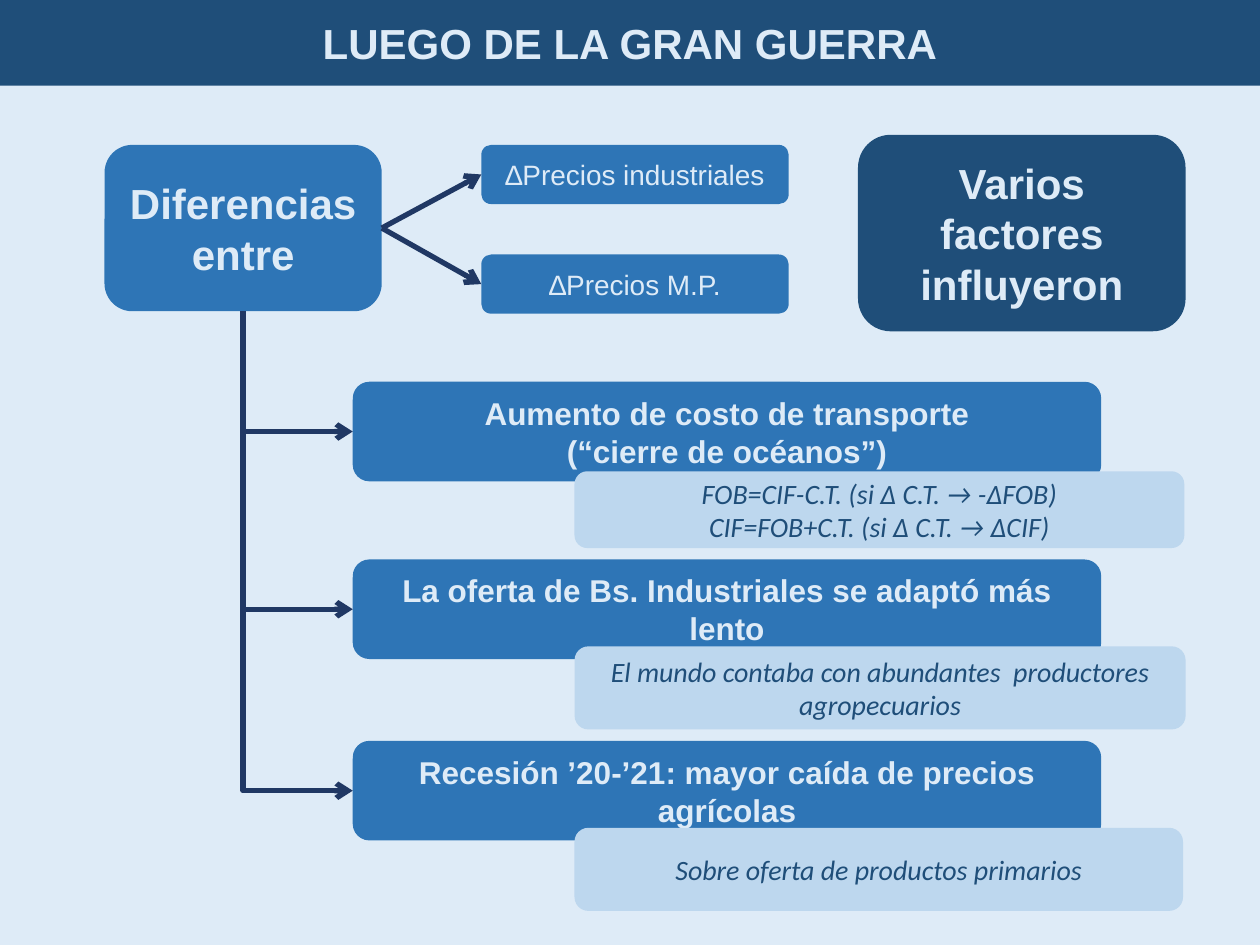
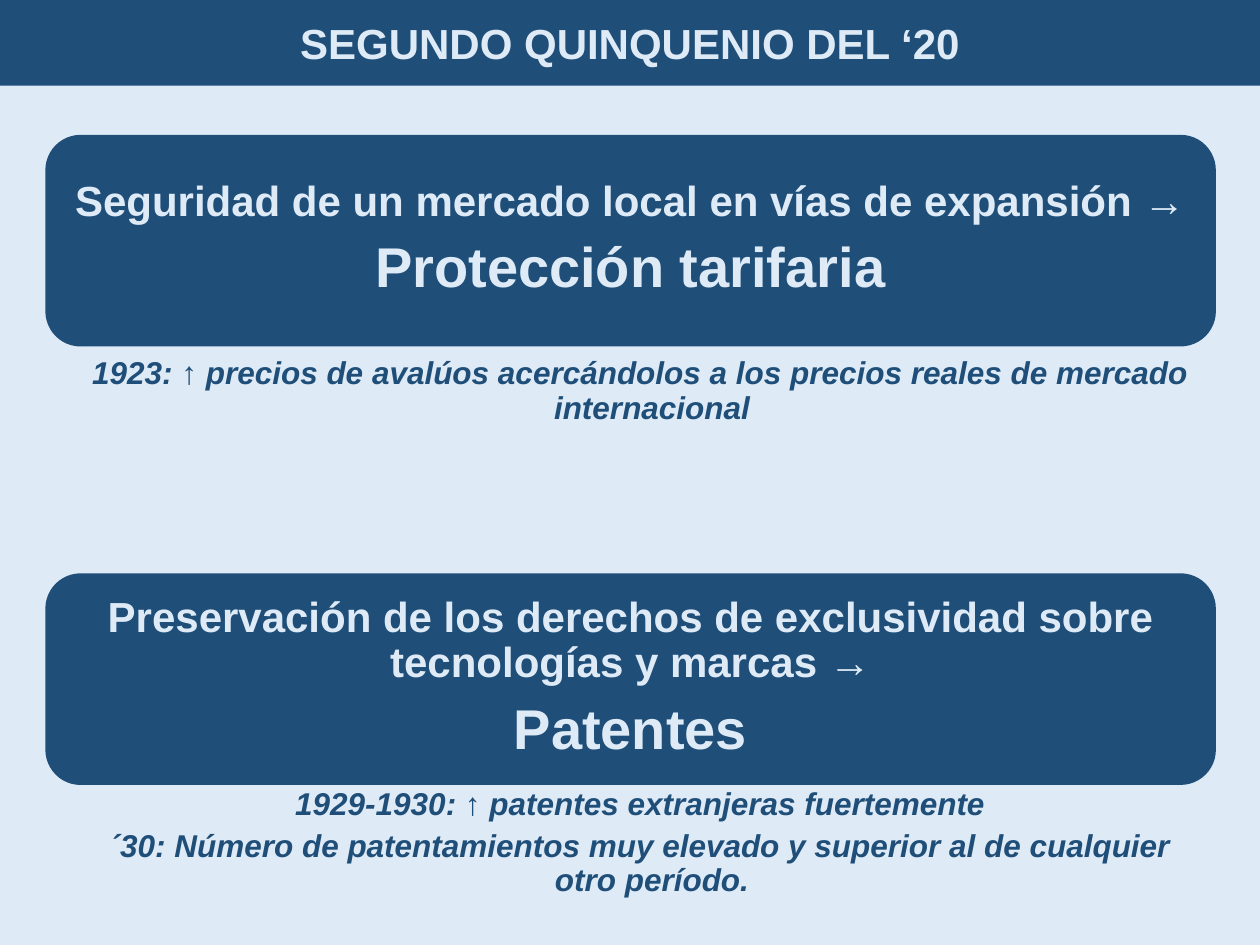
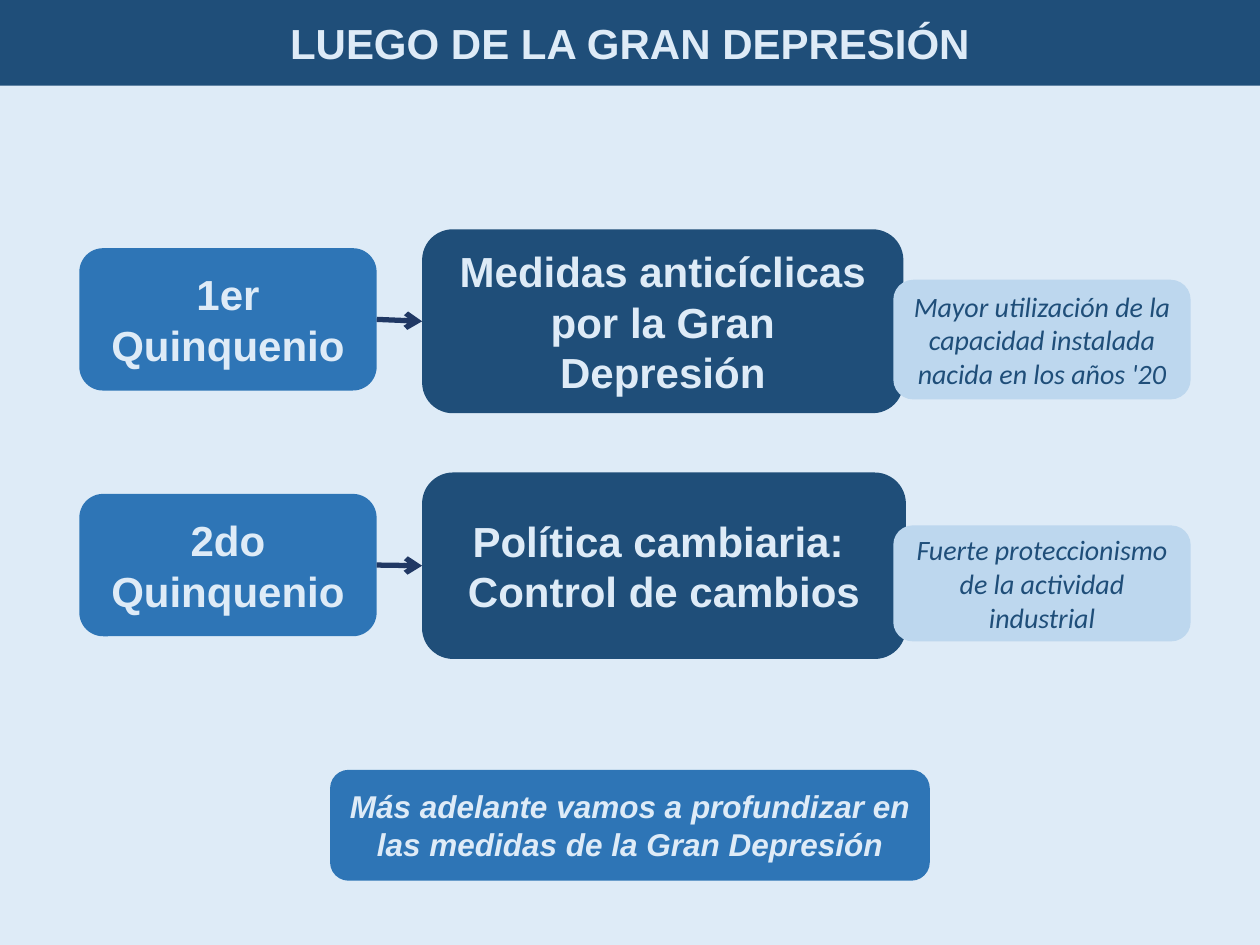
import pptx
import pptx.util
import pptx.dml.color
import pptx.enum.shapes
import pptx.enum.text
import pptx.oxml.ns
import lxml.etree

Inches, Pt = pptx.util.Inches, pptx.util.Pt
RGB = pptx.dml.color.RGBColor
SHAPE = pptx.enum.shapes.MSO_SHAPE
LINK = pptx.enum.shapes.MSO_CONNECTOR
ALIGN = pptx.enum.text.PP_ALIGN
ANCHOR = pptx.enum.text.MSO_ANCHOR
qn = pptx.oxml.ns.qn

PALE = RGB(0xDE, 0xEB, 0xF7)
LIGHT = RGB(0xBD, 0xD7, 0xEE)
BLUE = RGB(0x2E, 0x75, 0xB6)
DARK = RGB(0x1F, 0x4E, 0x79)
NAVY = RGB(0x20, 0x38, 0x64)

# Text styles: font, size, colour, bold, italic
HEAD = ("Arial", 24, PALE, True, False)
BIG = ("Arial", 32, PALE, True, False)
PRICE = ("Arial", 16, PALE, False, False)
CAUSE = ("Arial", 18, PALE, True, False)
CLOSE = ("Arial", 18, PALE, True, True)
NOTE = ("Calibri", 16, DARK, False, True)
FACT = ("Arial", 18, DARK, True, True)

# Slide 1
WAR_TITLE = "LUEGO DE LA GRAN GUERRA"
PRICES = ["∆Precios industriales", "∆Precios M.P."]
CAUSES = [  # top, cause lines, note place, note lines
    (3.03, ["Aumento de costo de transporte", "(“cierre de océanos”)"],
     (4.56, 3.74, 4.84, 0.61),
     ["FOB=CIF-C.T. (si ∆ C.T. → -∆FOB)", "CIF=FOB+C.T. (si ∆ C.T. → ∆CIF)"]),
    (4.44, ["La oferta de Bs. Industriales se adaptó más lento"],
     (4.56, 5.13, 4.85, 0.66),
     ["El mundo contaba con abundantes  productores agropecuarios"]),
    (5.88, ["Recesión ’20-’21: mayor caída de precios agrícolas"],
     (4.56, 6.57, 4.83, 0.66),
     ["Sobre oferta de productos primarios"]),
]

# Slide 2
TWENTIES_TITLE = "SEGUNDO QUINQUENIO DEL ‘20"
POLICIES = [  # panel top, lead, key word, facts top, facts height, facts
    (1.07, "Seguridad de un mercado local en vías de expansión →",
     "Protección tarifaria", 2.81, 1.16,
     ["1923: ↑ precios de avalúos acercándolos a los precios reales de "
      "mercado internacional"]),
    (4.55, "Preservación de los derechos de exclusividad sobre tecnologías "
     "y marcas →", "Patentes", 6.23, 0.76,
     ["1929-1930: ↑ patentes extranjeras fuertemente",
      "´30: Número de patentamientos muy elevado y superior al de cualquier "
      "otro período."]),
]

# Slide 3
SLUMP_TITLE = "LUEGO DE LA GRAN DEPRESIÓN"
TERMS = [  # term top, term, step place, step lines, note top and height, note
    (1.97, "1er Quinquenio", (3.35, 1.82, 3.82, 1.46),
     ["Medidas anticíclicas por la Gran Depresión"], (2.22, 0.95),
     "Mayor utilización de la capacidad instalada nacida en los años '20"),
    (3.92, "2do Quinquenio", (3.35, 3.75, 3.84, 1.48),
     ["Política cambiaria: ", "Control de cambios"], (4.17, 0.92),
     "Fuerte proteccionismo de la actividad industrial"),
]
CLOSING = "Más adelante vamos a profundizar en las medidas de la Gran Depresión"


def write(shape, lines, after=None, space=None, indent=None):
    """Fill a shape with centred paragraphs given as (text, style) pairs."""
    frame = shape.text_frame
    frame.word_wrap = True
    for i, (text, style) in enumerate(lines):
        para = frame.paragraphs[0] if i == 0 else frame.add_paragraph()
        para.alignment = ALIGN.CENTER
        if space:
            para.line_spacing = space
        if after:
            para.space_after = Pt(after)
        if indent:
            para.level = 1
            props = para._p.get_or_add_pPr()
            props.set("marL", str(Inches(indent)))
            props.set("indent", str(-Inches(indent)))
        run = para.add_run()
        run.text = text
        font = run.font
        font.name, size, font.color.rgb, font.bold, font.italic = style
        font.size = Pt(size)


def add_box(slide, place, fill, lines=(), style=HEAD):
    box = slide.shapes.add_shape(SHAPE.ROUNDED_RECTANGLE, *map(Inches, place))
    box.shadow.inherit = False
    box.fill.solid()
    box.fill.fore_color.rgb = fill
    box.line.fill.background()
    box.text_frame.vertical_anchor = ANCHOR.MIDDLE
    write(box, [(line, style) for line in lines])
    return box


def add_text(slide, place, insets, lines, **format):
    box = slide.shapes.add_textbox(*map(Inches, place))
    frame = box.text_frame
    (frame.margin_left, frame.margin_top,
     frame.margin_right, frame.margin_bottom) = map(Inches, insets)
    write(box, lines, **format)
    return box


def style_arrow(arrow):
    arrow.line.color.rgb = NAVY
    arrow.line.width = Pt(3)
    tail = lxml.etree.SubElement(arrow.line._get_or_add_ln(), qn("a:tailEnd"))
    tail.set("type", "arrow")
    lxml.etree.SubElement(arrow._element.spPr, qn("a:effectLst"))


def join(slide, start, end):
    """Draw an arrow from the right side of one box to the left of another."""
    arrow = slide.shapes.add_connector(LINK.STRAIGHT, 0, 0, 0, 0)
    arrow.begin_connect(start, 3)
    arrow.end_connect(end, 1)
    style_arrow(arrow)


def add_bend(slide, x1, y1, x2, y2):
    """Draw an arrow that runs down, then right, as a turned one-bend elbow."""
    wide, high = x2 - x1, y2 - y1
    left = (x1 + x2 - high) / 2
    top = (y1 + y2 - wide) / 2
    ends = (left + high, top, left, top + wide)
    arrow = slide.shapes.add_connector(LINK.ELBOW, *map(Inches, ends))
    props = arrow._element.spPr
    props.find(qn("a:xfrm")).set("rot", str(270 * 60000))
    props.find(qn("a:prstGeom")).set("prst", "bentConnector2")
    style_arrow(arrow)


def add_slide(deck, text):
    slide = deck.slides.add_slide(deck.slide_layouts[5])
    title = slide.shapes.title
    title.left, title.top = 0, 0
    title.width, title.height = deck.slide_width, Inches(0.68)
    title.fill.solid()
    title.fill.fore_color.rgb = DARK
    title.text_frame.auto_size = pptx.enum.text.MSO_AUTO_SIZE.NONE
    title.text_frame.vertical_anchor = ANCHOR.MIDDLE
    write(title, [(text, HEAD)])
    return slide


def build_war(deck):
    slide = add_slide(deck, WAR_TITLE)
    root = add_box(slide, (0.83, 1.15, 2.2, 1.32), BLUE, ["Diferencias entre"])
    for i, price in enumerate(PRICES):
        place = (3.82, 1.15 + i * 0.87, 2.44, 0.47)
        join(slide, root, add_box(slide, place, BLUE, [price], PRICE))
    add_box(slide, (6.81, 1.07, 2.6, 1.56), DARK,
            ["Varios factores influyeron"])
    left, high = 2.8, 0.79
    for top, cause, place, note in CAUSES:
        add_box(slide, (left, top, 5.94, high), BLUE, cause, CAUSE)
        add_box(slide, place, LIGHT, note, NOTE)
        add_bend(slide, 1.93, 2.47, left, top + high / 2)


def build_twenties(deck):
    slide = add_slide(deck, TWENTIES_TITLE)
    left, wide, pad = 0.36, 9.29, 0.08
    for top, lead, key, low, high, facts in POLICIES:
        add_box(slide, (left, top, wide, 1.68), DARK)
        inner = (left + pad, top + pad, wide - 2 * pad, 1.51)
        panel = add_text(slide, inner, [0.1] * 4, [(lead, HEAD), (key, BIG)],
                         after=8, space=0.9)
        panel.text_frame.vertical_anchor = ANCHOR.MIDDLE
        add_text(slide, (left, low, wide, high), (0.29, 0.03, 0.14, 0.03),
                 [(fact, FACT) for fact in facts],
                 after=4.5, space=0.9, indent=0.19)


def build_slump(deck):
    slide = add_slide(deck, SLUMP_TITLE)
    wide = 2.36
    for top, term, place, step, (low, high), note in TERMS:
        start = add_box(slide, (0.63, top, wide, 1.13), BLUE, [term])
        join(slide, start, add_box(slide, place, DARK, step))
        add_box(slide, (7.09, low, wide, high), LIGHT, [note], NOTE)
    add_box(slide, (2.62, 6.11, 4.76, 0.88), BLUE, [CLOSING], CLOSE)


def main():
    deck = pptx.Presentation()
    deck.slide_width, deck.slide_height = Inches(10), Inches(7.5)
    back = deck.slide_master.background.fill
    back.solid()
    back.fore_color.rgb = PALE
    build_war(deck)
    build_twenties(deck)
    build_slump(deck)
    deck.save("out.pptx")


if __name__ == "__main__":
    main()
